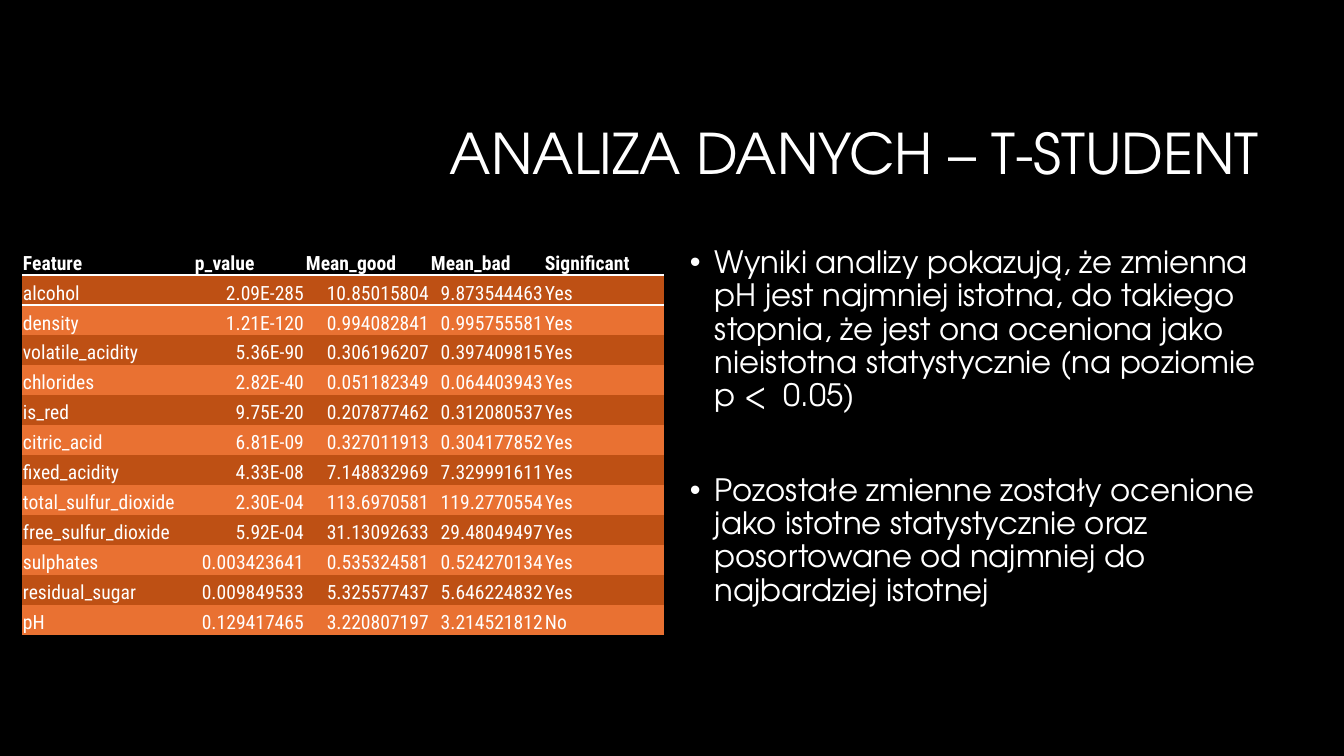
from dataclasses import dataclass

from lxml import etree
from pptx import Presentation
from pptx import util as u
from pptx.dml.color import RGBColor
from pptx.enum import text as t
from pptx.oxml import ns

TITLE = "ANALIZA DANYCH – T-STUDENT"
FINDINGS = [
    "Wyniki analizy pokazują, że zmienna pH jest najmniej istotna, do takiego stopnia, "
    "że jest ona oceniona jako nieistotna statystycznie (na poziomie p <  0.05)",
    "Pozostałe zmienne zostały ocenione jako istotne statystycznie oraz posortowane "
    "od najmniej do najbardziej istotnej",
]
RESULTS = [
    ("Feature", "p_value", "Mean_good", "Mean_bad", "Significant"),
    ("alcohol", "2.09E-285", "10.85015804", "9.873544463", "Yes"),
    ("density", "1.21E-120", "0.994082841", "0.995755581", "Yes"),
    ("volatile_acidity", "5.36E-90", "0.306196207", "0.397409815", "Yes"),
    ("chlorides", "2.82E-40", "0.051182349", "0.064403943", "Yes"),
    ("is_red", "9.75E-20", "0.207877462", "0.312080537", "Yes"),
    ("citric_acid", "6.81E-09", "0.327011913", "0.304177852", "Yes"),
    ("fixed_acidity", "4.33E-08", "7.148832969", "7.329991611", "Yes"),
    ("total_sulfur_dioxide", "2.30E-04", "113.6970581", "119.2770554", "Yes"),
    ("free_sulfur_dioxide", "5.92E-04", "31.13092633", "29.48049497", "Yes"),
    ("sulphates", "0.003423641", "0.535324581", "0.524270134", "Yes"),
    ("residual_sugar", "0.009849533", "5.325577437", "5.646224832", "Yes"),
    ("pH", "0.129417465", "3.220807197", "3.214521812", "No"),
]
NUMBER_COLUMNS = (1, 2, 3)

SLIDE = (1344, 756)
TITLE_BOX = (319, 85, 950, 142)
FINDINGS_BOX = (680, 242, 588, 444)
TABLE_CORNER = (22, 245)
COLUMN_WIDTHS = (172, 111, 125, 114, 120)
ROW_HEIGHT = 30
BULLET_INDENT = 25
CELL_INSET = 1
PLAIN_TABLE_STYLE = "{2D5ABB26-0587-4C30-8999-92F81FD0307C}"


@dataclass(frozen=True)
class Theme:
    background: str = "000000"
    ink: str = "FFFFFF"
    dark_band: str = "BE5014"
    light_band: str = "E97132"
    text_font: str = "TeX Gyre Adventor"
    table_font: str = "Roboto Condensed"
    title_size: int = 40
    body_size: int = 22
    table_size: int = 14
    finding_gap: int = 44
    rule_width: int = 1


THEME = Theme()


def px(length):
    return u.Emu(round(length * 914400 / 100.8))


def paint(fill, color):
    fill.solid()
    fill.fore_color.rgb = RGBColor.from_string(color)


def write(para, content, *, size, font=THEME.text_font, bold=False,
          align=t.PP_ALIGN.LEFT, spacing=None, before=0, bullet=False):
    if bullet:
        props = para._p.get_or_add_pPr()
        props.set("marL", str(px(BULLET_INDENT)))
        props.set("indent", str(-px(BULLET_INDENT)))
        etree.SubElement(props, ns.qn("a:buFont"), typeface="Arial")
        etree.SubElement(props, ns.qn("a:buChar"), char="•")
    para.alignment = align
    para.line_spacing = spacing
    para.space_before = u.Pt(before)
    span = para.add_run()
    span.text = content
    span.font.name = font
    span.font.size = u.Pt(size)
    span.font.bold = bold
    span.font.color.rgb = RGBColor.from_string(THEME.ink)


def add_box(page, place, anchor):
    frame = page.shapes.add_textbox(*map(px, place)).text_frame
    frame.word_wrap = True
    frame.vertical_anchor = anchor
    return frame


def add_rule(cell, side):
    """Draw a line on one side of a cell: lnT for top, lnB for bottom."""
    line = etree.Element(ns.qn(f"a:{side}"), w=str(u.Pt(THEME.rule_width)))
    solid = etree.SubElement(line, ns.qn("a:solidFill"))
    etree.SubElement(solid, ns.qn("a:srgbClr"), val=THEME.ink)
    cell._tc.get_or_add_tcPr().insert(0, line)


def add_results(page):
    size = (sum(COLUMN_WIDTHS), ROW_HEIGHT * len(RESULTS))
    graphic = page.shapes.add_table(len(RESULTS), len(COLUMN_WIDTHS),
                                    *map(px, TABLE_CORNER + size))
    table = graphic.table
    table.horz_banding = False
    table._tbl.tblPr.find(ns.qn("a:tableStyleId")).text = PLAIN_TABLE_STYLE
    for column, width in zip(table.columns, COLUMN_WIDTHS):
        column.width = px(width)
    for r, values in enumerate(RESULTS):
        table.rows[r].height = px(ROW_HEIGHT)
        band = THEME.dark_band if r % 2 else THEME.light_band
        for c, value in enumerate(values):
            cell = table.cell(r, c)
            cell.margin_left = cell.margin_right = cell.margin_top = px(CELL_INSET)
            cell.margin_bottom = 0
            cell.vertical_anchor = t.MSO_ANCHOR.BOTTOM
            paint(cell.fill, band if r else THEME.background)
            if r < 2:
                add_rule(cell, "lnT" if r else "lnB")
            is_number = r > 0 and c in NUMBER_COLUMNS
            write(cell.text_frame.paragraphs[0], value, size=THEME.table_size,
                  font=THEME.table_font, bold=r == 0,
                  align=t.PP_ALIGN.RIGHT if is_number else t.PP_ALIGN.LEFT)


def main():
    deck = Presentation()
    deck.slide_width, deck.slide_height = map(px, SLIDE)
    page = deck.slides.add_slide(deck.slide_layouts[6])
    paint(page.background.fill, THEME.background)

    title = add_box(page, TITLE_BOX, t.MSO_ANCHOR.MIDDLE)
    write(title.paragraphs[0], TITLE, size=THEME.title_size,
          align=t.PP_ALIGN.RIGHT, spacing=0.9)

    findings = add_box(page, FINDINGS_BOX, t.MSO_ANCHOR.TOP)
    for i, finding in enumerate(FINDINGS):
        para = findings.add_paragraph() if i else findings.paragraphs[0]
        write(para, finding, size=THEME.body_size, spacing=0.9, bullet=True,
              before=THEME.finding_gap if i else 0)

    add_results(page)
    deck.save("out.pptx")


if __name__ == "__main__":
    main()
